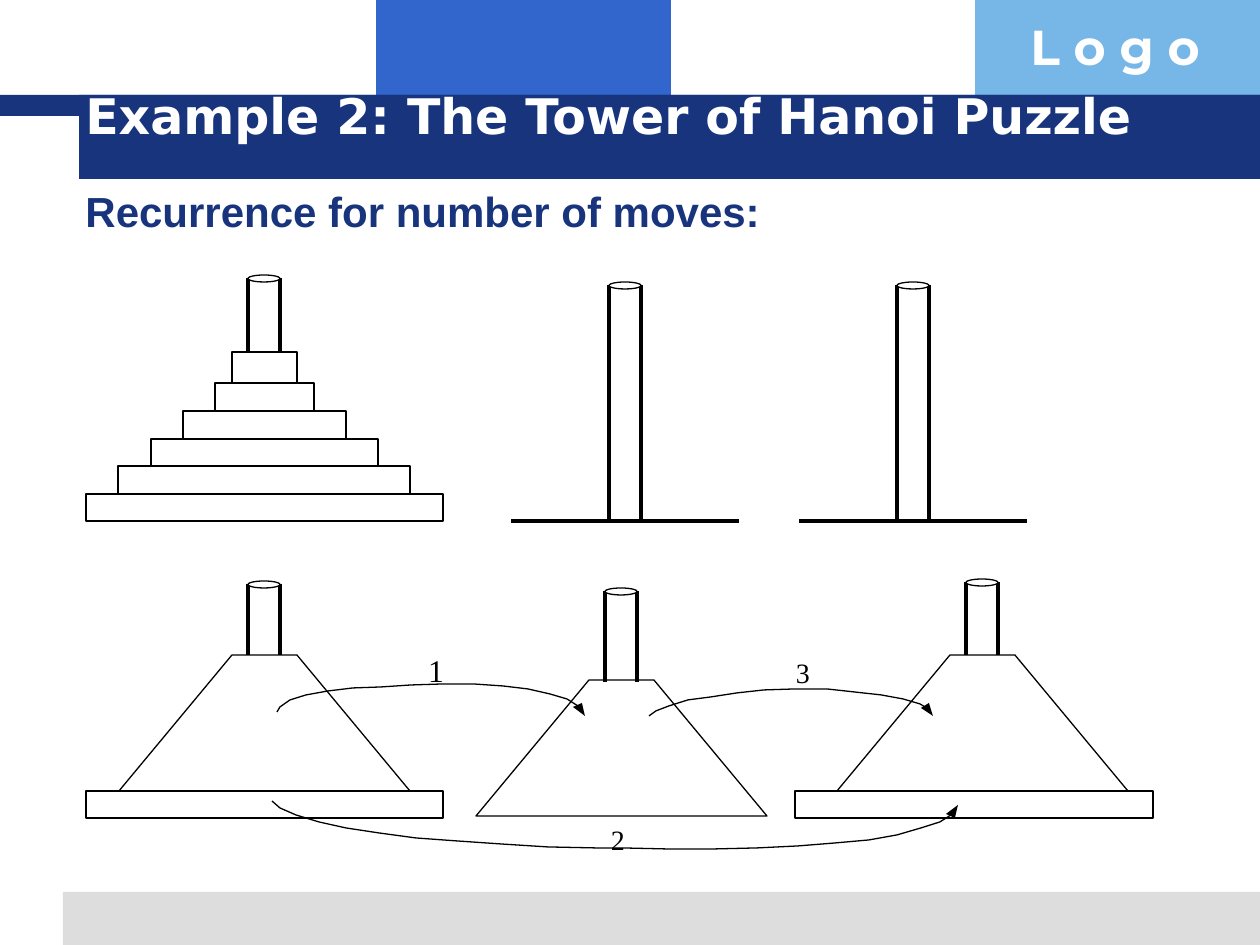
from lxml import etree
from pptx import Presentation
from pptx.dml.color import RGBColor
from pptx.enum.shapes import MSO_CONNECTOR, MSO_SHAPE
from pptx.enum.text import MSO_ANCHOR
from pptx.oxml.ns import qn
from pptx.util import Pt

SCALE = 914400 / 126
RECTANGLE, OVAL, TRAPEZOID = MSO_SHAPE.RECTANGLE, MSO_SHAPE.OVAL, MSO_SHAPE.TRAPEZOID
STRAIGHT = MSO_CONNECTOR.STRAIGHT
TOP, MIDDLE = MSO_ANCHOR.TOP, MSO_ANCHOR.MIDDLE

NAVY, WHITE, BLACK = "17347D", "FFFFFF", "000000"

# left, top, width, height, colour
BANDS = [
    (376, 0, 295, 116, "3366CC"),
    (975, 0, 285, 116, "77B7E7"),
    (63, 892, 1197, 53, "DDDDDD"),
    (0, 95, 1260, 21, NAVY),
    (79, 95, 1181, 84, NAVY),
]

# text, box, anchor, font
HEADINGS = [
    ("L o g o", (1018, 10, 242, 72), TOP,
     {"name": "Montserrat", "size": Pt(28), "bold": True}, WHITE),
    ("Example 2: The Tower of Hanoi Puzzle", (73, 73, 1187, 84), MIDDLE,
     {"name": "DejaVu Sans", "size": Pt(28), "bold": True}, WHITE),
    ("Recurrence for number of moves:", (73, 179, 714, 64), TOP,
     {"name": "Arial", "size": Pt(24), "bold": True}, NAVY),
]

# left, top, bottom
PEG_WIDTH, PEG_CAP = 32, 7
PEGS = [
    (248, 275, 352), (609, 282, 521), (897, 282, 521),
    (248, 581, 655), (605, 588, 682), (966, 579, 655),
]

# left, top, right, bottom
DISKS = [
    (232, 352, 297, 383), (215, 383, 314, 411), (183, 411, 346, 439),
    (151, 439, 378, 466), (118, 466, 410, 494), (86, 494, 443, 521),
    (86, 791, 443, 818), (795, 791, 1153, 818),
]

GROUND_Y, GROUND_WIDTH = 521, 228
GROUND_LEFTS = [511, 799]

# left, top of each stack of smaller disks
STACK_WIDTH, STACK_HEIGHT, STACK_INSET = 291, 136, 113
STACKS = [(119, 655), (476, 680), (837, 655)]

MOVES = [
    {"label": "1", "box": (428, 651, 16, 59), "size": 18,
     "curve": [(277, 712), (280, 707), (290, 700), (306, 695), (328, 691), (353, 688),
               (381, 687), (411, 685), (442, 684), (474, 684), (503, 686), (528, 689),
               (550, 694), (567, 699), (578, 706)],
     "head": [(582, 703), (585, 716), (573, 707)]},
    {"label": "2", "box": (611, 823, 14, 34), "size": 16,
     "curve": [(272, 801), (280, 808), (296, 815), (319, 822), (346, 828), (379, 833),
               (416, 838), (457, 841), (501, 844), (548, 847), (596, 848), (622, 848),
               (668, 849), (713, 849), (757, 848), (798, 846), (835, 843), (869, 840),
               (897, 835), (921, 828), (940, 822), (951, 815)],
     "head": [(946, 814), (958, 805), (955, 818)]},
    {"label": "3", "box": (796, 656, 14, 34), "size": 16,
     "curve": [(649, 716), (656, 711), (669, 706), (688, 700), (711, 697), (737, 693),
               (764, 690), (795, 689), (827, 689), (854, 692), (881, 695), (903, 699),
               (920, 704), (925, 707)],
     "head": [(929, 703), (933, 716), (921, 708)]},
]


def emu(*lengths):
    return [round(length * SCALE) for length in lengths]


def colour(code):
    return RGBColor.from_string(code)


def paint(shape, fill=None, line=None):
    """Set fill and hairline; None leaves that part empty."""
    shape.shadow.inherit = False
    if fill:
        shape.fill.solid()
        shape.fill.fore_color.rgb = colour(fill)
    else:
        shape.fill.background()
    if line:
        shape.line.width = 0
        shape.line.color.rgb = colour(line)
    else:
        shape.line.fill.background()


def add_preset(slide, kind, box, fill=None, line=None):
    shape = slide.shapes.add_shape(kind, *emu(*box))
    paint(shape, fill, line)
    return shape


def add_line(slide, *ends):
    line = slide.shapes.add_connector(STRAIGHT, *emu(*ends))
    line.line.width = 0
    line.line.color.rgb = colour(BLACK)
    etree.SubElement(line._element.spPr, qn("a:effectLst"))


def add_path(slide, points, close=False, **paints):
    builder = slide.shapes.build_freeform(*points[0], scale=SCALE)
    builder.add_line_segments(points[1:], close=close)
    paint(builder.convert_to_shape(), **paints)


def add_text(slide, text, box, font, font_colour, frame_format):
    frame = slide.shapes.add_textbox(*emu(*box)).text_frame
    for name, value in frame_format.items():
        setattr(frame, name, value)
    run = frame.paragraphs[0].add_run()
    run.text = text
    for name, value in font.items():
        setattr(run.font, name, value)
    run.font.color.rgb = colour(font_colour)


def add_peg(slide, left, top, bottom):
    for x in (left, left + PEG_WIDTH):
        add_line(slide, x, top + PEG_CAP / 2, x, bottom)
    add_preset(slide, OVAL, (left, top, PEG_WIDTH, PEG_CAP), WHITE, BLACK)


def add_move(slide, move):
    add_path(slide, move["curve"], line=BLACK)
    add_path(slide, move["head"], close=True, fill=BLACK)
    font = {"name": "Times New Roman", "size": Pt(move["size"])}
    margins = {f"margin_{side}": 0 for side in ("left", "top", "right", "bottom")}
    add_text(slide, move["label"], move["box"], font, BLACK,
             {"word_wrap": False, **margins})


def main():
    presentation = Presentation()
    presentation.slide_width, presentation.slide_height = emu(1260, 945)
    slide = presentation.slides.add_slide(presentation.slide_layouts[6])

    for *box, fill in BANDS:
        add_preset(slide, RECTANGLE, box, fill)
    for text, box, anchor, font, font_colour in HEADINGS:
        add_text(slide, text, box, font, font_colour,
                 {"word_wrap": True, "vertical_anchor": anchor})

    for peg in PEGS:
        add_peg(slide, *peg)
    for left, top, right, bottom in DISKS:
        add_preset(slide, RECTANGLE, (left, top, right - left, bottom - top), line=BLACK)
    for left in GROUND_LEFTS:
        add_line(slide, left, GROUND_Y, left + GROUND_WIDTH, GROUND_Y)
    for left, top in STACKS:
        stack = add_preset(slide, TRAPEZOID, (left, top, STACK_WIDTH, STACK_HEIGHT), line=BLACK)
        stack.adjustments[0] = STACK_INSET / STACK_HEIGHT
    for move in MOVES:
        add_move(slide, move)

    presentation.save("out.pptx")


if __name__ == "__main__":
    main()
